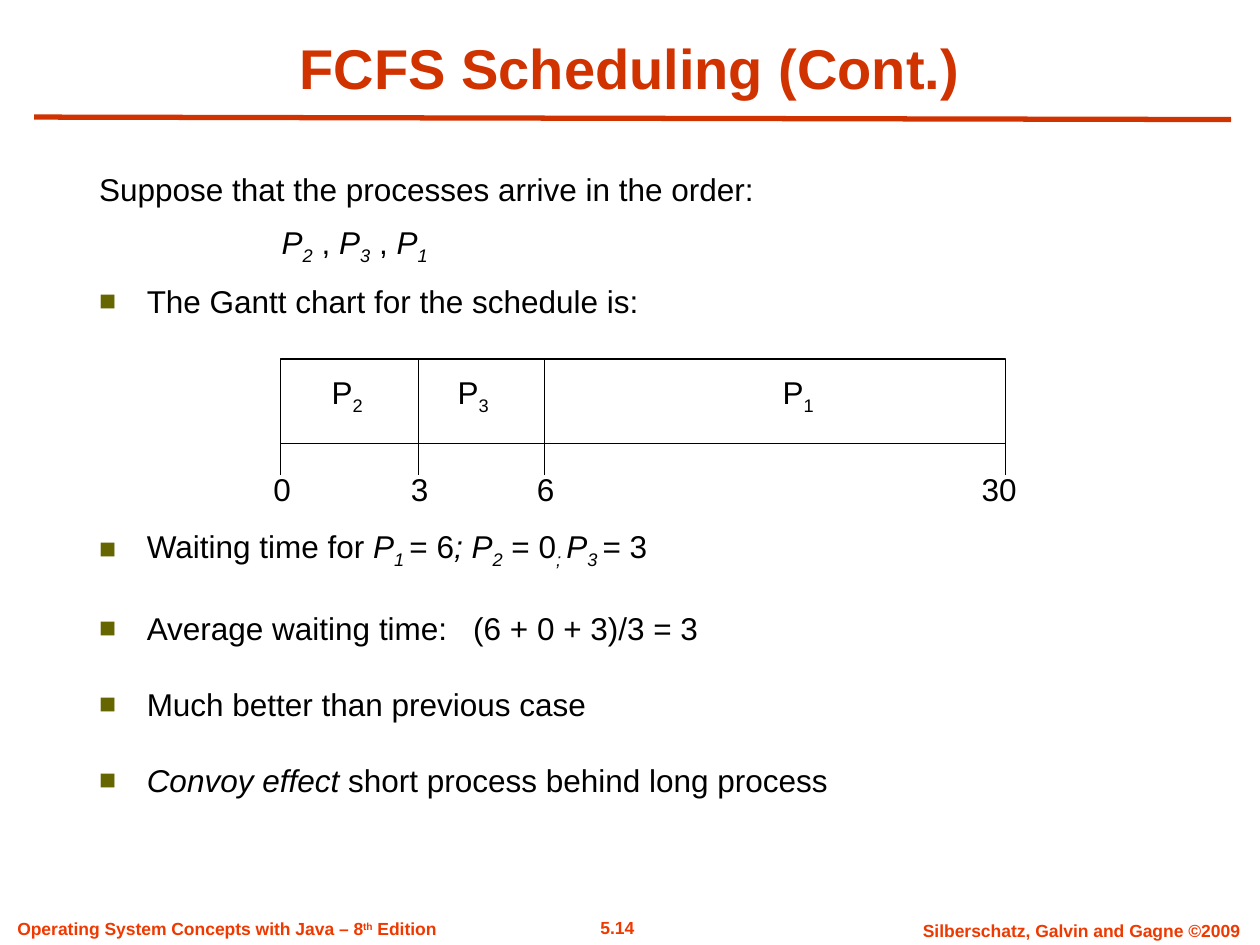
from dataclasses import dataclass

from lxml import etree
from pptx import Presentation
from pptx import util as u
from pptx.dml.color import RGBColor
from pptx.enum import shapes, text
from pptx.oxml import ns

ALIGN = text.PP_ALIGN


@dataclass(frozen=True)
class Theme:
    """Colours, font and type sizes in one place."""
    font: str = "Arial"
    title: str = "D03200"
    footer: str = "EE3900"
    ink: str = "000000"
    paper: str = "FFFFFF"
    bullet: str = "666600"
    title_size: float = 32
    body_size: float = 18
    footer_size: float = 10
    rule_width: float = 3
    thin_width: float = 0.74


class Deck:
    """Draws styled elements on the current slide; lengths are in cm."""

    def __init__(self, theme):
        """Start a presentation with one blank slide."""
        self.theme = theme
        self.presentation = Presentation()
        self.presentation.slide_width = u.Cm(25.4)
        self.presentation.slide_height = u.Cm(19.05)
        self.slide = self.presentation.slides.add_slide(self.presentation.slide_layouts[6])
        self.canvas = self.slide.shapes

    def open_group(self):
        """Send the elements that follow into a new group."""
        self.canvas = self.slide.shapes.add_group_shape().shapes

    def frame(self, left, top, width, height, anchor=text.MSO_ANCHOR.TOP, wrap=True):
        """Add an empty text box and return its text frame."""
        box = self.canvas.add_textbox(u.Cm(left), u.Cm(top), u.Cm(width), u.Cm(height))
        frame = box.text_frame
        frame.word_wrap = wrap
        frame.vertical_anchor = anchor
        return frame

    def runs(self, paragraph, pieces, size, color, bold=False):
        """Add (wording, style) runs; style holds i italic, s sub, u super."""
        for wording, style in pieces:
            run = paragraph.add_run()
            run.text = wording
            font = run.font
            font.name, font.size, font.bold = self.theme.font, u.Pt(size), bold
            font.italic = "i" in style
            font.color.rgb = RGBColor.from_string(color)
            for mark, baseline in (("s", "-25000"), ("u", "30000")):
                if mark in style:
                    run._r.get_or_add_rPr().set("baseline", baseline)

    def label(self, place, pieces, size, color, bold=False, align=ALIGN.CENTER, **options):
        """Add a one-line text box."""
        line = self.frame(*place, **options).paragraphs[0]
        line.alignment = align
        self.runs(line, pieces, size, color, bold)

    def paragraph_layout(self, paragraph, left, hanging, bullet, tab):
        """Set indents, an optional square bullet and an optional tab stop."""
        props = paragraph._p.get_or_add_pPr()
        props.set("marL", str(u.Cm(left)))
        props.set("indent", str(-u.Cm(hanging)))

        def add(parent, tag, **values):
            return etree.SubElement(parent, ns.qn(tag), **values)

        if bullet:
            add(add(props, "a:buClr"), "a:srgbClr", val=self.theme.bullet)
            add(props, "a:buSzPct", val="90000")
            add(props, "a:buFont", typeface=self.theme.font)
            add(props, "a:buChar", char="■")
        else:
            add(props, "a:buNone")
        if tab:
            add(add(props, "a:tabLst"), "a:tab", pos=str(u.Cm(tab)), algn="l")

    def body(self, place, items):
        """Add paragraphs of (space before, left, hanging, bullet, tab, runs)."""
        frame = self.frame(*place)
        for number, (before, left, hanging, bullet, tab, pieces) in enumerate(items):
            paragraph = frame.add_paragraph() if number else frame.paragraphs[0]
            paragraph.space_before = u.Pt(before)
            self.paragraph_layout(paragraph, left, hanging, bullet, tab)
            self.runs(paragraph, pieces, self.theme.body_size, self.theme.ink)

    def line(self, x1, y1, x2, y2, color, width):
        """Add a straight line without shadow."""
        line = self.canvas.add_connector(
            shapes.MSO_CONNECTOR.STRAIGHT, u.Cm(x1), u.Cm(y1), u.Cm(x2), u.Cm(y2))
        line.line.color.rgb = RGBColor.from_string(color)
        line.line.width = u.Pt(width)
        etree.SubElement(line._element.spPr, ns.qn("a:effectLst"))

    def bar(self, left, top, width, height):
        """Add the outlined bar of the Gantt chart."""
        bar = self.canvas.add_shape(
            shapes.MSO_SHAPE.RECTANGLE, u.Cm(left), u.Cm(top), u.Cm(width), u.Cm(height))
        bar.shadow.inherit = False
        bar.fill.solid()
        bar.fill.fore_color.rgb = RGBColor.from_string(self.theme.paper)
        bar.line.color.rgb = RGBColor.from_string(self.theme.ink)
        bar.line.width = u.Pt(self.theme.thin_width)


def draw_footer(deck):
    """Add the book name, page number and authors."""
    theme = deck.theme
    book = [("Operating System Concepts with Java – 8", ""), ("th", "u"), (" Edition", "")]
    for place, pieces, align in (
            ((11.2, 18.36, 2.49, 0.69), [("5.14", "")], ALIGN.CENTER),
            ((18.03, 18.42, 7.54, 0.69),
             [("Silberschatz, Galvin and Gagne ©2009", "")], ALIGN.CENTER),
            ((0.1, 18.39, 9.02, 0.69), book, ALIGN.LEFT)):
        deck.label(place, pieces, theme.footer_size, theme.footer, True, align)


def draw_heading(deck):
    """Add the title and the rule below it."""
    theme = deck.theme
    deck.line(0.69, 2.36, 24.82, 2.41, theme.title, theme.rule_width)
    deck.label((1.27, 0.56, 22.86, 1.6), [("FCFS Scheduling (Cont.)", "")],
               theme.title_size, theme.title, True, anchor=text.MSO_ANCHOR.BOTTOM)


def draw_body(deck):
    """Add the statements around the chart."""
    order = [("P", "i"), ("2", "is"), (" , ", ""), ("P", "i"), ("3", "is"),
             (" , ", ""), ("P", "i"), ("1", "is")]
    waiting = [("Waiting time for ", ""), ("P", "i"), ("1 ", "is"), ("= 6", ""),
               ("; P", "i"), ("2", "is"), (" = 0", ""), ("; ", "is"),
               ("P", "i"), ("3 ", "is"), ("= 3", "")]
    average = [("Average waiting time:\t(6 + 0 + 3)/3 = 3", "")]
    convoy = [("Convoy effect", "i"), (" short process behind long process", "")]
    hang, near, far, chart_gap = 0.96, 9, 21.9, 118.5
    deck.body((1.75, 3.3, 21.49, 13.79), [
        (0, hang, hang, False, 0, [("Suppose that the processes arrive in the order:", "")]),
        (near, 3.68, 0, False, 0, order),
        (near, hang, hang, True, 0, [("The Gantt chart for the schedule is:", "")]),
        (chart_gap, hang, hang, True, 0, waiting),
        (far, hang, hang, True, 7.54, average),
        (far, hang, hang, True, 0, [("Much better than previous case", "")]),
        (far, hang, hang, True, 0, convoy)])


def draw_gantt(deck):
    """Add the bar, its dividers, process names and time marks."""
    theme = deck.theme
    top, bottom, tick_end = 7.24, 8.94, 9.58
    marks = [("0", 5.66, 5.69), ("3", 8.43, 8.46), ("6", 10.97, 11), ("30", 20.27, 20.14)]
    start, end = marks[0][1], marks[-1][1]
    style = {"anchor": text.MSO_ANCHOR.MIDDLE, "wrap": False}
    deck.open_group()
    deck.bar(start, top, end - start, bottom - top)
    for number, center in (("2", 7), ("3", 9.54), ("1", 16.09)):
        deck.label((center - 0.57, 7.39, 1.14, 1.12), [("P", ""), (number, "s")],
                   theme.body_size, theme.ink, **style)
    for time, x, center in marks:
        if start < x < end:
            deck.line(x, top, x, bottom, theme.ink, theme.thin_width)
        deck.line(x, bottom, x, tick_end, theme.ink, theme.thin_width)
        width = 0.5 + 0.36 * len(time)
        deck.label((center - width / 2, 9.35, width, 1.02), [(time, "")],
                   theme.body_size, theme.ink, **style)


def main():
    """Build and save the slide."""
    deck = Deck(Theme())
    draw_footer(deck)
    draw_heading(deck)
    draw_body(deck)
    draw_gantt(deck)
    deck.presentation.save("out.pptx")


main()
